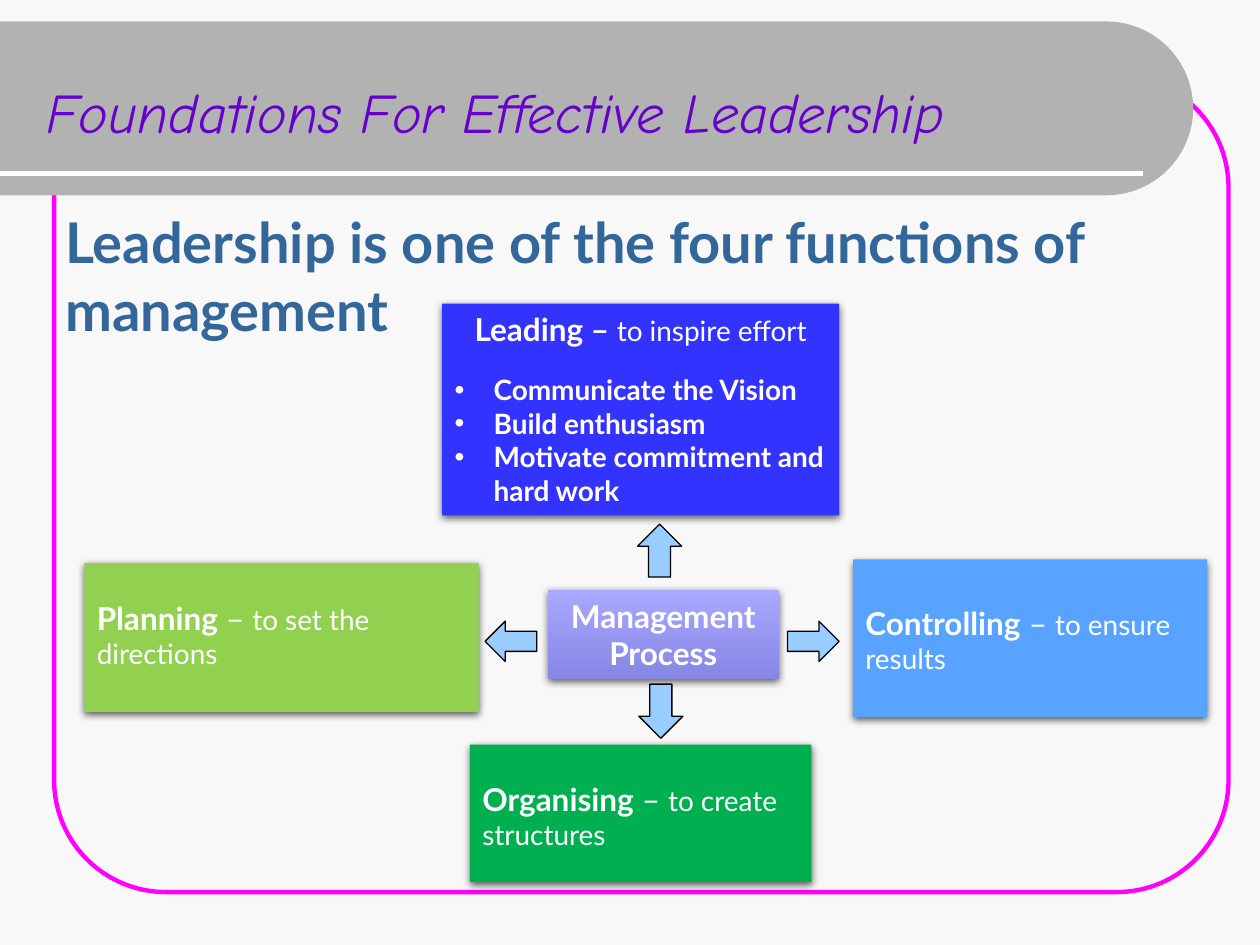
"""Build a slide showing leadership as one of the four functions of management."""
from math import cos, pi, sin

from lxml import etree
from pptx import Presentation
from pptx.dml.color import RGBColor
from pptx.enum.shapes import MSO_CONNECTOR, MSO_SHAPE
from pptx.enum.text import MSO_ANCHOR, MSO_AUTO_SIZE, PP_ALIGN
from pptx.oxml.ns import qn
from pptx.util import Inches, Pt

RECTANGLE, ROUNDED = MSO_SHAPE.RECTANGLE, MSO_SHAPE.ROUNDED_RECTANGLE
LEFT, CENTER = PP_ALIGN.LEFT, PP_ALIGN.CENTER
TOP, MIDDLE = MSO_ANCHOR.TOP, MSO_ANCHOR.MIDDLE

THEME = {
    "background": "F8F8F8", "frame": "FF00FF", "band": "B2B2B2", "rule": "FFFFFF",
    "title": "6600CC", "statement": "336699", "box_text": "FFFFFF",
    "core": ("A9A9FF", "8686E5"), "arrow": "99CCFF", "arrow_line": "000000",
    "shadow": "000000", "title_font": "Comic Neue", "body_font": "Lato",
    "heading_size": 32, "name_size": 18, "detail_size": 16,
}

TITLE = "Foundations For Effective Leadership"
STATEMENT = "Leadership is one of the four functions of management"
CORE = {"at": (4.35, 4.68, 1.83, 0.71), "lines": ("Management", "Process")}
LEADING = {
    "at": (3.51, 2.41, 3.15, 1.68), "fill": "3333FF",
    "name": "Leading – ", "detail": "to inspire effort",
    "bullets": ("Communicate the Vision", "Build enthusiasm",
                "Motivate commitment and hard work"),
}
FUNCTIONS = [
    {"at": (6.77, 4.44, 2.81, 1.25), "fill": "58A3FF", "inset": 0.35,
     "name": "Controlling", "detail": "to ensure results"},
    {"at": (3.73, 5.91, 2.71, 1.09), "fill": "00B050", "inset": 0.28,
     "name": "Organising", "detail": "to create structures"},
    {"at": (0.67, 4.47, 3.13, 1.18), "fill": "92D050", "inset": 0.28,
     "name": "Planning", "detail": "to set the directions"},
]
ARROWS = [
    (MSO_SHAPE.LEFT_ARROW, (3.85, 4.93, 0.41, 0.32)),
    (MSO_SHAPE.DOWN_ARROW, (5.07, 5.43, 0.35, 0.43)),
    (MSO_SHAPE.UP_ARROW, (5.06, 4.16, 0.35, 0.42)),
    (MSO_SHAPE.RIGHT_ARROW, (6.25, 4.93, 0.41, 0.32)),
]


def rgb(value):
    return RGBColor.from_string(value)


def inches(lengths):
    return [Inches(length) for length in lengths]


def add_run(paragraph, text, size, bold=False, color="box_text", font="body_font"):
    run = paragraph.add_run()
    run.text = text
    run.font.size = Pt(size)
    run.font.bold = bold
    run.font.name = THEME[font]
    run.font.color.rgb = rgb(THEME[color])
    return run


def add_panel(slide, kind, at, fill=None, line=None, width=0.75):
    panel = slide.shapes.add_shape(kind, *inches(at))
    panel.shadow.inherit = False
    if fill:
        panel.fill.solid()
        panel.fill.fore_color.rgb = rgb(fill)
    else:
        panel.fill.background()
    if line:
        panel.line.color.rgb = rgb(line)
        panel.line.width = Pt(width)
    else:
        panel.line.fill.background()
    return panel


def add_shadow(panel):
    effects = panel.element.spPr.find(qn("a:effectLst"))
    shadow = etree.SubElement(effects, qn("a:outerShdw"), blurRad=str(Pt(4.5)),
                              dist=str(Pt(1.5)), dir="5400000", rotWithShape="0")
    color = etree.SubElement(shadow, qn("a:srgbClr"), val=THEME["shadow"])
    etree.SubElement(color, qn("a:alpha"), val="63000")


def add_box(slide, at, fill=None, anchor=TOP, inset=0.05):
    box = add_panel(slide, RECTANGLE, at, fill)
    add_shadow(box)
    frame = box.text_frame
    frame.word_wrap = True
    frame.vertical_anchor = anchor
    frame.margin_top = Inches(inset)
    frame.paragraphs[0].alignment = LEFT
    return box


def add_bullet(paragraph):
    properties = paragraph._p.get_or_add_pPr()
    properties.set("marL", str(Inches(0.31)))
    properties.set("indent", str(-Inches(0.31)))
    etree.SubElement(properties, qn("a:buFont"), typeface="Arial")
    etree.SubElement(properties, qn("a:buChar"), char="•")


def add_backdrop(slide):
    slide.background.fill.solid()
    slide.background.fill.fore_color.rgb = rgb(THEME["background"])
    frame = add_panel(slide, ROUNDED, (0.43, 0.6, 9.32, 6.48),
                      line=THEME["frame"], width=2.5)
    frame.adjustments[0] = 0.137

    radius, center_x, center_y, steps = 0.69, 8.78, 0.86, 48
    angles = [pi * step / steps - pi / 2 for step in range(steps + 1)]
    arc = [(center_x + radius * cos(a), center_y + radius * sin(a)) for a in angles]
    outline = slide.shapes.build_freeform(0, Inches(center_y - radius))
    outline.add_line_segments([inches(point) for point in arc]
                              + [(0, Inches(center_y + radius))])
    band = outline.convert_to_shape()
    band.shadow.inherit = False
    band.fill.solid()
    band.fill.fore_color.rgb = rgb(THEME["band"])
    band.line.fill.background()

    rule = slide.shapes.add_connector(MSO_CONNECTOR.STRAIGHT, *inches((0, 1.38, 9.07, 1.38)))
    rule.line.color.rgb = rgb(THEME["rule"])
    rule.line.width = Pt(3)
    etree.SubElement(rule.element.spPr, qn("a:effectLst"))


def add_headings(slide):
    title = slide.shapes.title
    title.element.getparent().append(title.element)
    title.left, title.top, title.width, title.height = inches((0.21, 0.25, 8.77, 1))
    frame = title.text_frame
    frame.auto_size = MSO_AUTO_SIZE.NONE
    frame.word_wrap = True
    frame.vertical_anchor = MIDDLE
    frame.margin_left, frame.margin_top = inches((0.16, 0.32))
    frame.paragraphs[0].alignment = LEFT
    add_run(frame.paragraphs[0], TITLE, THEME["heading_size"],
            color="title", font="title_font").font.italic = True

    statement = slide.shapes.add_textbox(*inches((0.42, 1.6, 9.33, 1.42))).text_frame
    statement.word_wrap = True
    add_run(statement.paragraphs[0], STATEMENT, THEME["heading_size"], True, "statement")


def add_process(slide):
    name_size, detail_size = THEME["name_size"], THEME["detail_size"]
    core = add_box(slide, CORE["at"], anchor=MIDDLE)
    core.fill.gradient()
    core.fill.gradient_angle = 270
    for stop, color in zip(core.fill.gradient_stops, THEME["core"]):
        stop.color.rgb = rgb(color)
    core.text_frame.text = "\n".join(CORE["lines"])
    for paragraph in core.text_frame.paragraphs:
        paragraph.alignment = CENTER
        font = paragraph.runs[0].font
        font.name, font.size, font.bold = THEME["body_font"], Pt(name_size), True
        font.color.rgb = rgb(THEME["box_text"])

    leading = add_box(slide, LEADING["at"], LEADING["fill"]).text_frame
    heading = leading.paragraphs[0]
    heading.alignment = CENTER
    add_run(heading, LEADING["name"], name_size, True)
    add_run(heading, LEADING["detail"], detail_size)
    for index, text in enumerate(LEADING["bullets"]):
        bullet = leading.add_paragraph()
        bullet.alignment = LEFT
        bullet.space_before = Pt(0 if index else 14.4)
        add_bullet(bullet)
        add_run(bullet, text, detail_size, True)

    for function in FUNCTIONS:
        box = add_box(slide, function["at"], function["fill"], inset=function["inset"])
        label = box.text_frame.paragraphs[0]
        add_run(label, function["name"], name_size, True)
        add_run(label, " – ", name_size)
        add_run(label, function["detail"], detail_size)

    for kind, at in ARROWS:
        add_panel(slide, kind, at, THEME["arrow"], THEME["arrow_line"])


def main():
    deck = Presentation()
    deck.slide_width, deck.slide_height = inches((10, 7.5))
    slide = deck.slides.add_slide(deck.slide_layouts[5])
    add_backdrop(slide)
    add_headings(slide)
    add_process(slide)
    deck.save("out.pptx")


if __name__ == "__main__":
    main()
